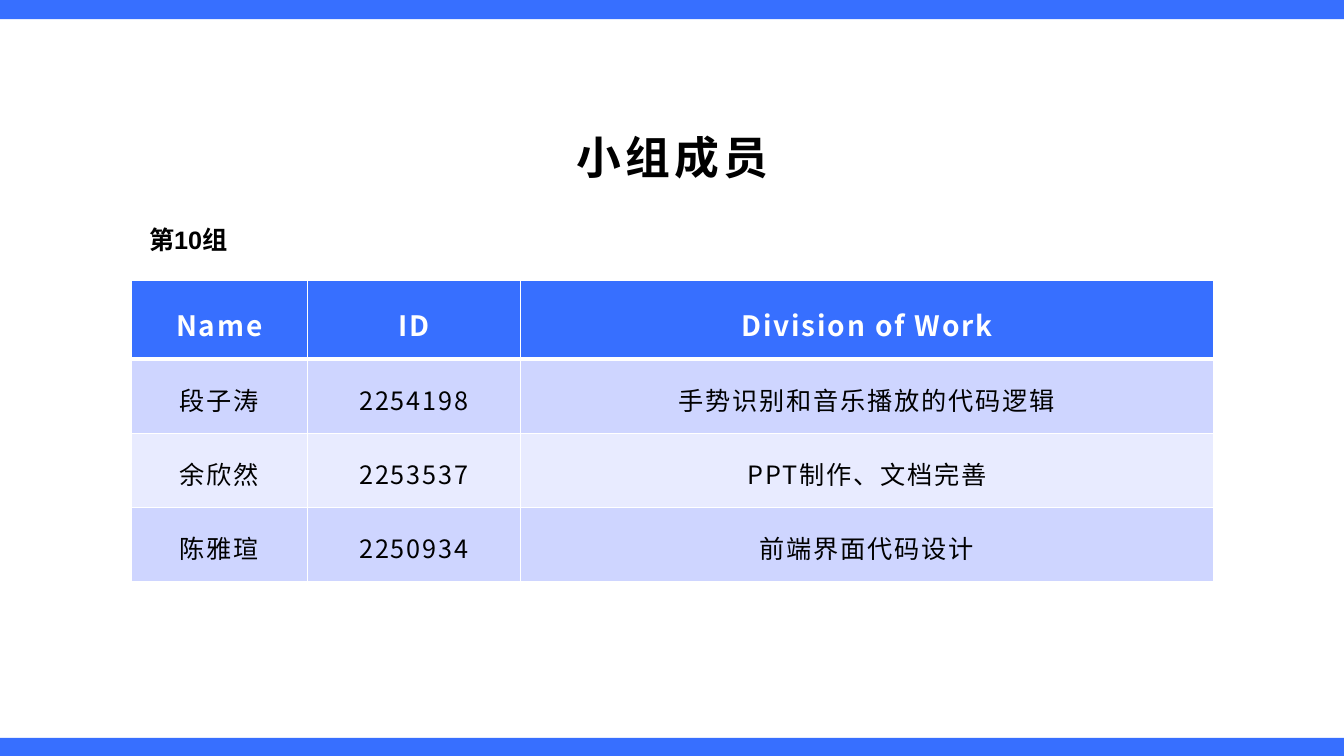
from lxml import etree
from pptx import Presentation
from pptx.dml.color import RGBColor
from pptx.enum.shapes import MSO_SHAPE
from pptx.enum.text import MSO_ANCHOR, PP_ALIGN
from pptx.oxml.ns import qn
from pptx.util import Inches, Pt

RECT, MIDDLE = MSO_SHAPE.RECTANGLE, MSO_ANCHOR.MIDDLE
CENTER, LEFT = PP_ALIGN.CENTER, PP_ALIGN.LEFT

# Content
TITLE = "小组成员"
GROUP = "第10组"
MEMBERS = [
    ("Name", "ID", "Division of Work"),
    ("段子涛", "2254198", "手势识别和音乐播放的代码逻辑"),
    ("余欣然", "2253537", "PPT制作、文档完善"),
    ("陈雅瑄", "2250934", "前端界面代码设计"),
]

# Layout and style
WIDTH, HEIGHT = 13.33, 7.5
TABLE_LEFT, TABLE_TOP = 1.3, 2.78
COLUMNS = [1.75, 2.11, 6.88]
ROWS = [0.78] + [0.73] * 3
BLUE, BANDS = "376FFF", ("E8EBFF", "CED5FF")
WHITE, BLACK = "FFFFFF", "000000"
LATIN, CJK = "Arial", "Noto Sans CJK SC"


def rgb(color):
    return RGBColor.from_string(color)


def box(left, top, width, height):
    return [Inches(v) for v in (left, top, width, height)]


def write(tf, text, size, font, color=BLACK, bold=True, align=CENTER, spacing=0):
    p = tf.paragraphs[0]
    p.text = text
    p.alignment = align
    r = p.runs[0]
    r.font.name, r.font.size, r.font.bold = font, Pt(size), bold
    r.font.color.rgb = rgb(color)
    rPr = r.font._element
    rPr.set("spc", str(round(spacing * 100)))
    etree.SubElement(rPr, qn("a:ea")).set("typeface", CJK)
    return p


def border(cell, side, points):
    ln = etree.SubElement(cell._tc.get_or_add_tcPr(), qn("a:ln" + side))
    ln.set("w", str(Pt(points)))
    fill = etree.SubElement(ln, qn("a:solidFill"))
    etree.SubElement(fill, qn("a:srgbClr")).set("val", WHITE)


prs = Presentation()
prs.slide_width, prs.slide_height = Inches(WIDTH), Inches(HEIGHT)
s = prs.slides.add_slide(prs.slide_layouts[5])

# Title
title = s.shapes.title
title.left, title.top, title.width, title.height = box(0.67, 1.17, 12, 0.77)
title.text_frame.vertical_anchor = MIDDLE
write(title.text_frame, TITLE, 32, LATIN, spacing=3)

# Bottom and top bands
for top, height in ((HEIGHT - 0.18, 0.18), (0, 0.19)):
    sp = s.shapes.add_shape(RECT, *box(0, top, WIDTH, height))
    sp.shadow.inherit = False
    sp.fill.solid()
    sp.fill.fore_color.rgb = rgb(BLUE)
    sp.line.fill.background()

# Member table
frame = s.shapes.add_table(len(ROWS), len(COLUMNS),
                           *box(TABLE_LEFT, TABLE_TOP, sum(COLUMNS), sum(ROWS)))
table = frame.table
for column, width in zip(table.columns, COLUMNS):
    column.width = Inches(width)
for i, (row, height) in enumerate(zip(table.rows, ROWS)):
    row.height = Inches(height)
    header = i == 0
    for cell, text in zip(row.cells, MEMBERS[i]):
        cell.margin_left = cell.margin_right = Inches(0.24)
        cell.margin_top = cell.margin_bottom = Inches(0.15)
        cell.vertical_anchor = MIDDLE
        for side in "LRTB":
            thick = (header and side == "B") or (i == 1 and side == "T")
            border(cell, side, 3 if thick else 1)
        cell.fill.solid()
        cell.fill.fore_color.rgb = rgb(BLUE if header else BANDS[i % 2])
        p = write(cell.text_frame, text, 20 if header else 18, CJK,
                  WHITE if header else BLACK, header, spacing=1.3)
        p.line_spacing = 1.2

# Group label
label = s.shapes.add_textbox(*box(1.38, 2.18, 1.5, 0.4))
label.text_frame.word_wrap = True
write(label.text_frame, GROUP, 18, LATIN, align=LEFT)

prs.save("out.pptx")
